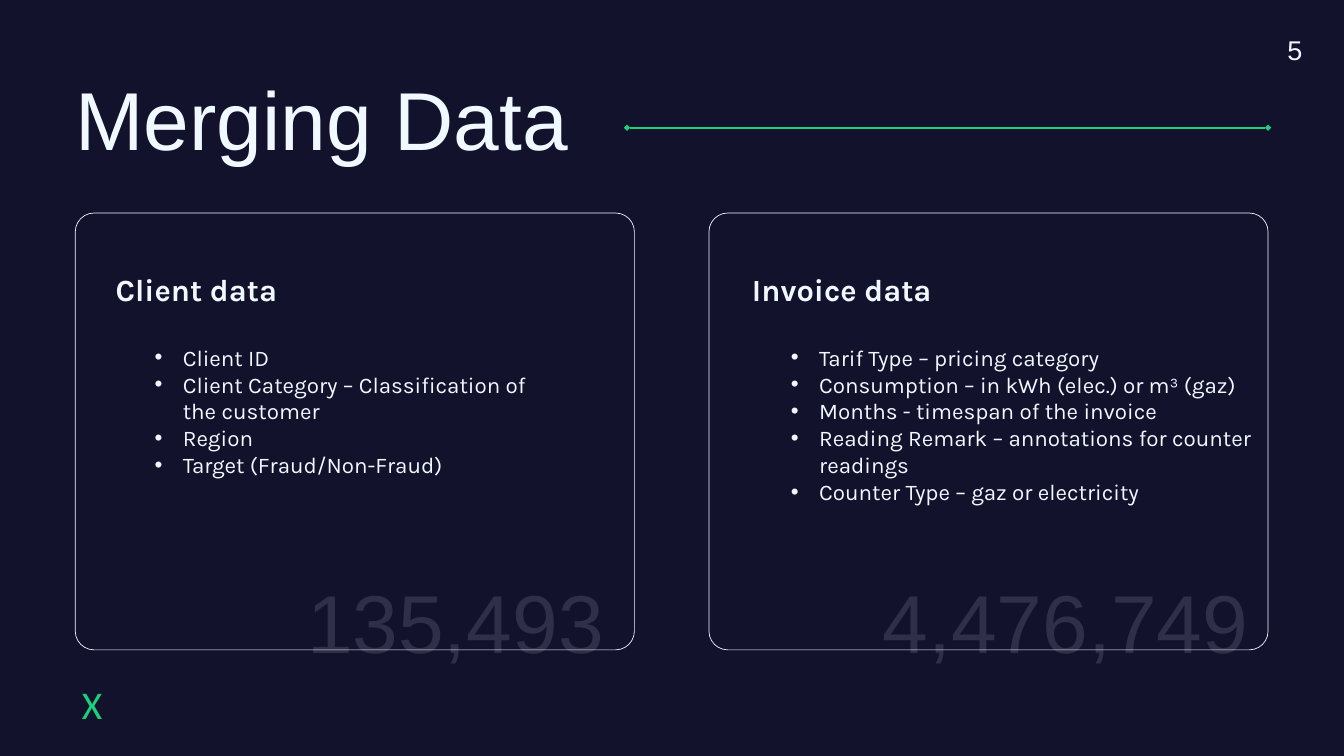
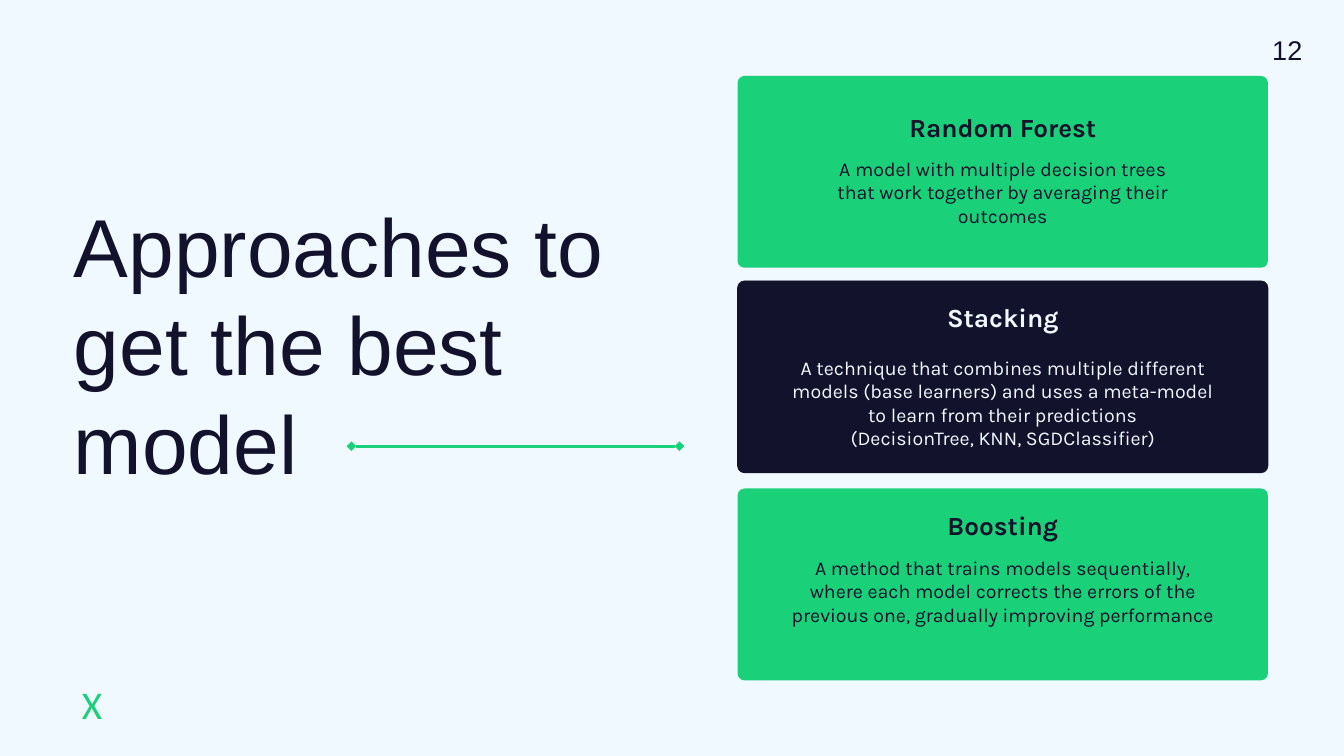
from dataclasses import dataclass

from pptx import Presentation
from pptx.dml.color import RGBColor
from pptx.enum.shapes import MSO_CONNECTOR, MSO_SHAPE
from pptx.enum.text import MSO_ANCHOR, MSO_AUTO_SIZE, PP_ALIGN
from pptx.oxml.ns import qn
from pptx.oxml.xmlchemy import OxmlElement
from pptx.util import Inches, Pt

NAVY = RGBColor(0x13, 0x12, 0x2D)
ICE = RGBColor(0xF0, 0xF9, 0xFF)
GREEN = RGBColor(0x1A, 0xD0, 0x79)
FADED = RGBColor(0x30, 0x2F, 0x48)

# The page is a grid of 100 columns and 100 rows
PAGE_WIDTH, PAGE_HEIGHT = Inches(20), Inches(11.25)
COLUMN, ROW = PAGE_WIDTH / 100, PAGE_HEIGHT / 100
MARGIN_LEFT, MARGIN_RIGHT = 5.6, 94.35

TITLE = {"name": "Arial", "size": Pt(88), "bold": False}
PAGE_NUMBER = {"name": "Arial", "size": Pt(29)}
MARK = {"name": "Calibri", "size": Pt(42)}
PANEL_HEADING = {"name": "Karla", "size": Pt(33), "bold": True}
PANEL_ITEM = {"name": "Karla", "size": Pt(24), "bold": False}
CARD_HEADING = {"name": "Karla", "size": Pt(28), "bold": True}
CARD_BODY = {"name": "Karla", "size": Pt(21)}


@dataclass(frozen=True)
class Frame:
    """A rectangle in grid columns and rows."""
    left: float
    top: float
    width: float
    height: float

    def lengths(self) -> tuple:
        return (round(self.left * COLUMN), round(self.top * ROW),
                round(self.width * COLUMN), round(self.height * ROW))


@dataclass(frozen=True)
class Panel:
    outline_left: float
    text: Frame
    figure_left: float
    figure: str
    heading: str
    items: tuple


@dataclass(frozen=True)
class Card:
    top: float
    fill: RGBColor
    color: RGBColor
    heading_top: float
    heading: str
    body_top: float
    body_width: float
    body: tuple


PANELS = (
    Panel(5.6, Frame(8.1, 34.93, 33.8, 29.6), 22.35, "135,493", "Client data", (
        "Client ID",
        "Client Category – Classification of the customer",
        "Region",
        "Target (Fraud/Non-Fraud)",
    )),
    Panel(52.75, Frame(55.45, 34.93, 38.9, 33.24), 65.2, "4,476,749", "Invoice data", (
        "Tarif Type – pricing category",
        "Consumption – in kWh (elec.) or m³ (gaz)",
        "Months - timespan of the invoice",
        "Reading Remark – annotations for counter readings",
        "Counter Type – gaz or electricity",
    )),
)

CARD_LEFT, CARD_WIDTH, CARD_HEIGHT = 54.88, 39.46, 25.38
CARDS = (
    Card(10.04, GREEN, NAVY, 15.47, "Random Forest", 20.71, 25.7, (
        "A model with multiple decision trees that work together by averaging "
        "their outcomes",
    )),
    Card(37.16, NAVY, ICE, 40.71, "Stacking", 47.02, 31.65, (
        "A technique that combines multiple different models (base learners) "
        "and uses a meta-model to learn from their predictions",
        "(DecisionTree, KNN, SGDClassifier)",
    )),
    Card(64.62, GREEN, NAVY, 68.18, "Boosting", 73.51, 31.65, (
        "A method that trains models sequentially, where each model corrects "
        "the errors of the previous one, gradually improving performance",
    )),
)


def place(box, frame: Frame) -> None:
    box.left, box.top, box.width, box.height = frame.lengths()


def prepare_text(box, inset: float = 0, inset_vertical: float | None = None,
                 anchor=MSO_ANCHOR.TOP):
    """Set the wrapping, anchor and insets (inches) of a box's text."""
    vertical = inset if inset_vertical is None else inset_vertical
    settings = {
        "word_wrap": True, "auto_size": MSO_AUTO_SIZE.NONE, "vertical_anchor": anchor,
        "margin_left": Inches(inset), "margin_right": Inches(inset),
        "margin_top": Inches(vertical), "margin_bottom": Inches(vertical),
    }
    for name, value in settings.items():
        setattr(box.text_frame, name, value)
    return box.text_frame


def write(para, text: str, style: dict, color: RGBColor, align=PP_ALIGN.LEFT,
          spacing: float = 1.0, before: float = 0) -> None:
    para.alignment, para.line_spacing, para.space_before = align, spacing, Pt(before)
    span = para.add_run()
    span.text = text
    for name, value in style.items():
        setattr(span.font, name, value)
    span.font.color.rgb = color


def add_text(page, frame: Frame, lines: tuple, style: dict, color: RGBColor,
             align=PP_ALIGN.LEFT, spacing: float = 1.0, **layout) -> None:
    text = prepare_text(page.shapes.add_textbox(*frame.lengths()), **layout)
    for index, line in enumerate(lines):
        para = text.add_paragraph() if index else text.paragraphs[0]
        write(para, line, style, color, align, spacing)


def set_bullet(para, color: RGBColor | None) -> None:
    """Give a paragraph a hanging bullet, or none when there is no colour."""
    properties = para._p.get_or_add_pPr()
    hanging = color is not None
    properties.set("marL", str(Inches(1) if hanging else 0))
    properties.set("indent", str(Inches(-0.42) if hanging else 0))
    if not hanging:
        properties.append(OxmlElement("a:buNone"))
        return
    bullet_color = OxmlElement("a:buClr")
    swatch = OxmlElement("a:srgbClr")
    swatch.set("val", str(color))
    bullet_color.append(swatch)
    properties.append(bullet_color)
    for tag, name, value in (("a:buFont", "typeface", "Arial"), ("a:buChar", "char", "•")):
        element = OxmlElement(tag)
        element.set(name, value)
        properties.append(element)


def add_rounded(page, frame: Frame, corner: float, fill: RGBColor | None,
                outline: RGBColor | None) -> None:
    box = page.shapes.add_shape(MSO_SHAPE.ROUNDED_RECTANGLE, *frame.lengths())
    box.adjustments[0] = corner
    box.shadow.inherit = False
    if fill is None:
        box.fill.background()
    else:
        box.fill.solid()
        box.fill.fore_color.rgb = fill
    if outline is None:
        box.line.fill.background()
    else:
        box.line.color.rgb = outline
        box.line.width = Pt(0.75)


def add_rule(page, start: float, end: float, row: float, weight: float) -> None:
    """Draw a level green line with a diamond at each end."""
    left, right, level = round(start * COLUMN), round(end * COLUMN), round(row * ROW)
    rule = page.shapes.add_connector(MSO_CONNECTOR.STRAIGHT, left, level, right, level)
    rule.line.color.rgb = GREEN
    rule.line.width = Pt(weight)
    properties = rule._element.spPr
    for tag in ("a:headEnd", "a:tailEnd"):
        tip = OxmlElement(tag)
        tip.set("type", "diamond")
        properties.find(qn("a:ln")).append(tip)
    properties.append(OxmlElement("a:effectLst"))


def add_page(deck, layout: str, background: RGBColor, color: RGBColor, number: int,
             title: str, title_frame: Frame, title_spacing: float = 1.0):
    """Start a page with its background, title, corner mark and number."""
    page = deck.slides.add_slide(deck.slide_layouts.get_by_name(layout))
    page.background.fill.solid()
    page.background.fill.fore_color.rgb = background
    place(page.shapes.title, title_frame)
    para = prepare_text(page.shapes.title).paragraphs[0]
    write(para, title, TITLE, color, spacing=title_spacing)
    add_text(page, Frame(MARGIN_LEFT, 89.16, 9.7, 7.11), ("X",), MARK, GREEN, inset=0.1)
    add_text(page, Frame(85.75, 4.8, 11.65, 3.56), (str(number),), PAGE_NUMBER, color,
             PP_ALIGN.RIGHT, inset=0.1, inset_vertical=0.05, anchor=MSO_ANCHOR.MIDDLE)
    return page


def fill_panel(page, panel: Panel, body) -> None:
    add_text(page, Frame(panel.figure_left, 74.67, 32.1, 14.93), (panel.figure,),
             TITLE, FADED, inset=0.1)
    add_rounded(page, Frame(panel.outline_left, 28.18, 41.6, 57.78), 0.043, None, ICE)
    place(body, panel.text)
    text = prepare_text(body, inset=0.1)
    heading = text.paragraphs[0]
    set_bullet(heading, None)
    write(heading, panel.heading, PANEL_HEADING, ICE)
    for index, item in enumerate(panel.items):
        para = text.add_paragraph()
        para.level = 1
        set_bullet(para, ICE)
        write(para, item, PANEL_ITEM, ICE, before=0 if index else 38.6)


def add_card(page, card: Card) -> None:
    outline = NAVY if card.fill == NAVY else None
    add_rounded(page, Frame(CARD_LEFT, card.top, CARD_WIDTH, CARD_HEIGHT), 0.036,
                card.fill, outline)
    center = CARD_LEFT + CARD_WIDTH / 2
    for top, width, height, lines, style, spacing in (
        (card.heading_top, 27.9, 3.38, (card.heading,), CARD_HEADING, 0.8),
        (card.body_top, card.body_width, 15.73, card.body, CARD_BODY, 1.0),
    ):
        add_text(page, Frame(center - width / 2, top, width, height), lines, style,
                 card.color, PP_ALIGN.CENTER, spacing)


def build_merging_page(deck) -> None:
    page = add_page(deck, "Two Content", NAVY, ICE, 5, "Merging Data",
                    Frame(MARGIN_LEFT, 11.56, 69.95, 10.58), 0.8)
    add_rule(page, 46.65, MARGIN_RIGHT, 16.89, 2.25)
    for index, panel in enumerate(PANELS, start=1):
        fill_panel(page, panel, page.placeholders[index])


def build_approaches_page(deck) -> None:
    page = add_page(deck, "Title Only", ICE, NAVY, 12, "Approaches to get the best model",
                    Frame(5.5, 25.78, 43.5, 39.47))
    add_rule(page, 26.15, 50.55, 59.02, 3.42)
    for card in CARDS:
        add_card(page, card)


def main() -> None:
    deck = Presentation()
    deck.slide_width, deck.slide_height = PAGE_WIDTH, PAGE_HEIGHT
    build_merging_page(deck)
    build_approaches_page(deck)
    deck.save("out.pptx")


if __name__ == "__main__":
    main()
